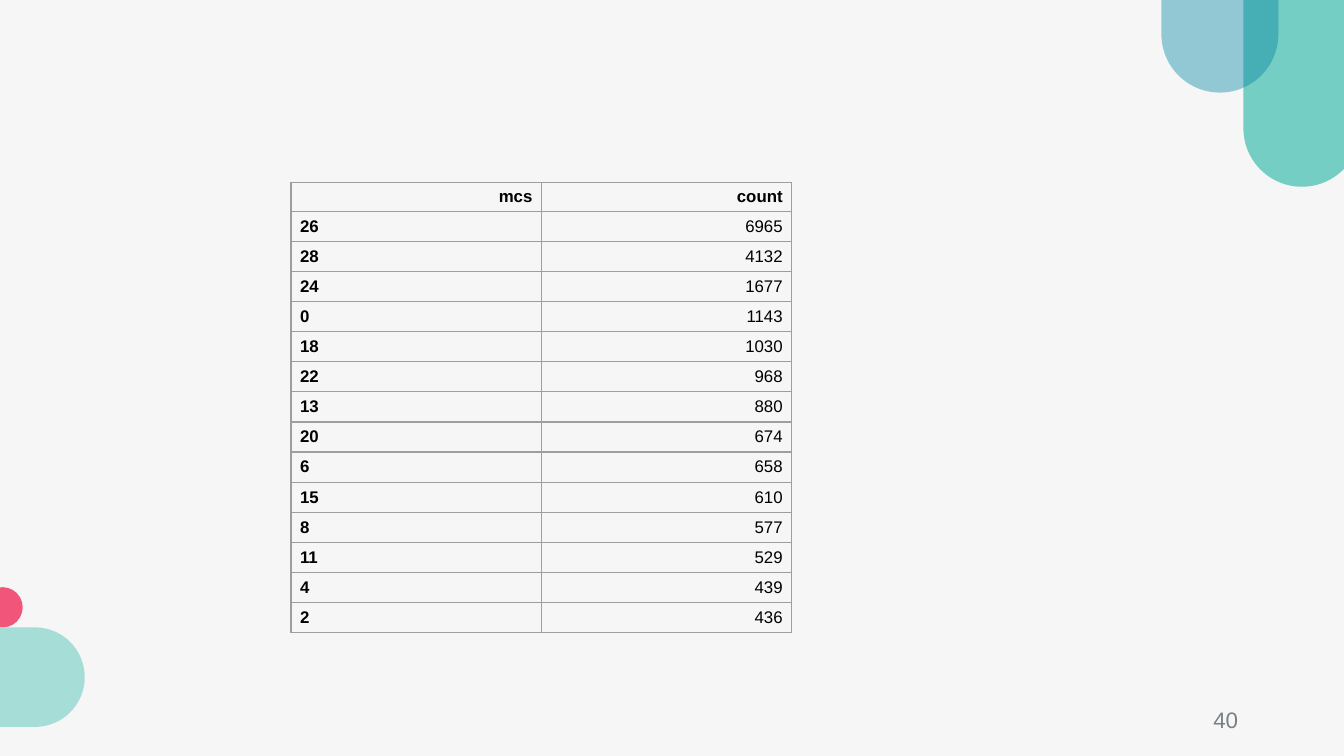
from lxml import etree
from pptx import Presentation
from pptx.dml.color import RGBColor
from pptx.enum import shapes, text
from pptx.oxml import ns
from pptx.util import Cm, Pt

ROUND = shapes.MSO_SHAPE.ROUNDED_RECTANGLE
OVAL = shapes.MSO_SHAPE.OVAL
LEFT, RIGHT = text.PP_ALIGN.LEFT, text.PP_ALIGN.RIGHT
MIDDLE = text.MSO_ANCHOR.MIDDLE

DECORATIONS = [
    (ROUND, (23.5, -7.95, 2.21, 11.48), "74CEC4", 100, 0),
    (ROUND, (21.95, -6.2, 2.21, 7.95), "0584A4", 41, 0),
    (OVAL, (-0.33, 11.1, 0.76, 0.76), "F2557A", 100, 0),
    (ROUND, (-1.88, 10.26, 1.88, 5.08), "74CEC4", 61, 90),
]
COUNTS = [
    ("mcs", "count"), ("26", "6965"), ("28", "4132"), ("24", "1677"),
    ("0", "1143"), ("18", "1030"), ("22", "968"), ("13", "880"),
    ("20", "674"), ("6", "658"), ("15", "610"), ("8", "577"),
    ("11", "529"), ("4", "439"), ("2", "436"),
]


def rgb(value):
    return RGBColor.from_string(value)


def add_child(parent, tag, **attrs):
    return etree.SubElement(parent, ns.qn(tag), attrs)


def paint(fill, color):
    fill.solid()
    fill.fore_color.rgb = rgb(color)


def add_decoration(s, kind, box, color, opacity, rotation):
    sp = s.shapes.add_shape(kind, *map(Cm, box))
    sp.shadow.inherit = False
    sp.rotation = rotation
    if kind == ROUND:
        sp.adjustments[0] = 0.5
    paint(sp.fill, color)
    sp.line.fill.background()
    if opacity < 100:
        clr = sp._element.spPr.find(".//" + ns.qn("a:srgbClr"))
        add_child(clr, "a:alpha", val=str(opacity * 1000))


def write(tf, content, size, color, align, bold=False):
    p = tf.paragraphs[0]
    p.alignment = align
    r = p.add_run()
    r.text = content
    r.font.name = "Arial"
    r.font.size = Pt(size)
    r.font.bold = bold
    r.font.color.rgb = rgb(color)


def add_borders(cell, color, width):
    tcPr = cell._tc.get_or_add_tcPr()
    for side in ("a:lnL", "a:lnR", "a:lnT", "a:lnB"):
        ln = add_child(tcPr, side, w=str(Pt(width)))
        add_child(add_child(ln, "a:solidFill"), "a:srgbClr", val=color)


def format_cell(cell):
    cell.vertical_anchor = MIDDLE
    cell.margin_left = cell.margin_right = Cm(0.17)
    cell.margin_top = cell.margin_bottom = Cm(0.08)
    add_borders(cell, "9E9E9E", 0.75)
    cell.fill.background()


def add_count_table(s, rows):
    header, body = 0.53, 0.57
    height = header + body * (len(rows) - 1)
    box = map(Cm, (5.5, 3.45, 9.46, height))
    table = s.shapes.add_table(len(rows), 2, *box).table
    table.first_row = table.horz_banding = False
    for i, values in enumerate(rows):
        table.rows[i].height = Cm(body if i else header)
        for j, value in enumerate(values):
            cell = table.cell(i, j)
            format_cell(cell)
            is_label = i > 0 and j == 0
            write(cell.text_frame, value, 9, "000000",
                  LEFT if is_label else RIGHT, bold=i == 0 or j == 0)


def add_page_number(s, number):
    tf = s.shapes.add_textbox(*map(Cm, (17.93, 13.23, 5.72, 0.76))).text_frame
    tf.word_wrap = True
    tf.vertical_anchor = MIDDLE
    write(tf, number, 12, "797F88", RIGHT)


def main():
    prs = Presentation()
    prs.slide_width, prs.slide_height = Cm(25.4), Cm(14.29)
    s = prs.slides.add_slide(prs.slide_layouts[6])
    paint(s.background.fill, "F6F6F6")
    for decoration in DECORATIONS:
        add_decoration(s, *decoration)
    add_page_number(s, "40")
    add_count_table(s, COUNTS)
    prs.save("out.pptx")


if __name__ == "__main__":
    main()
